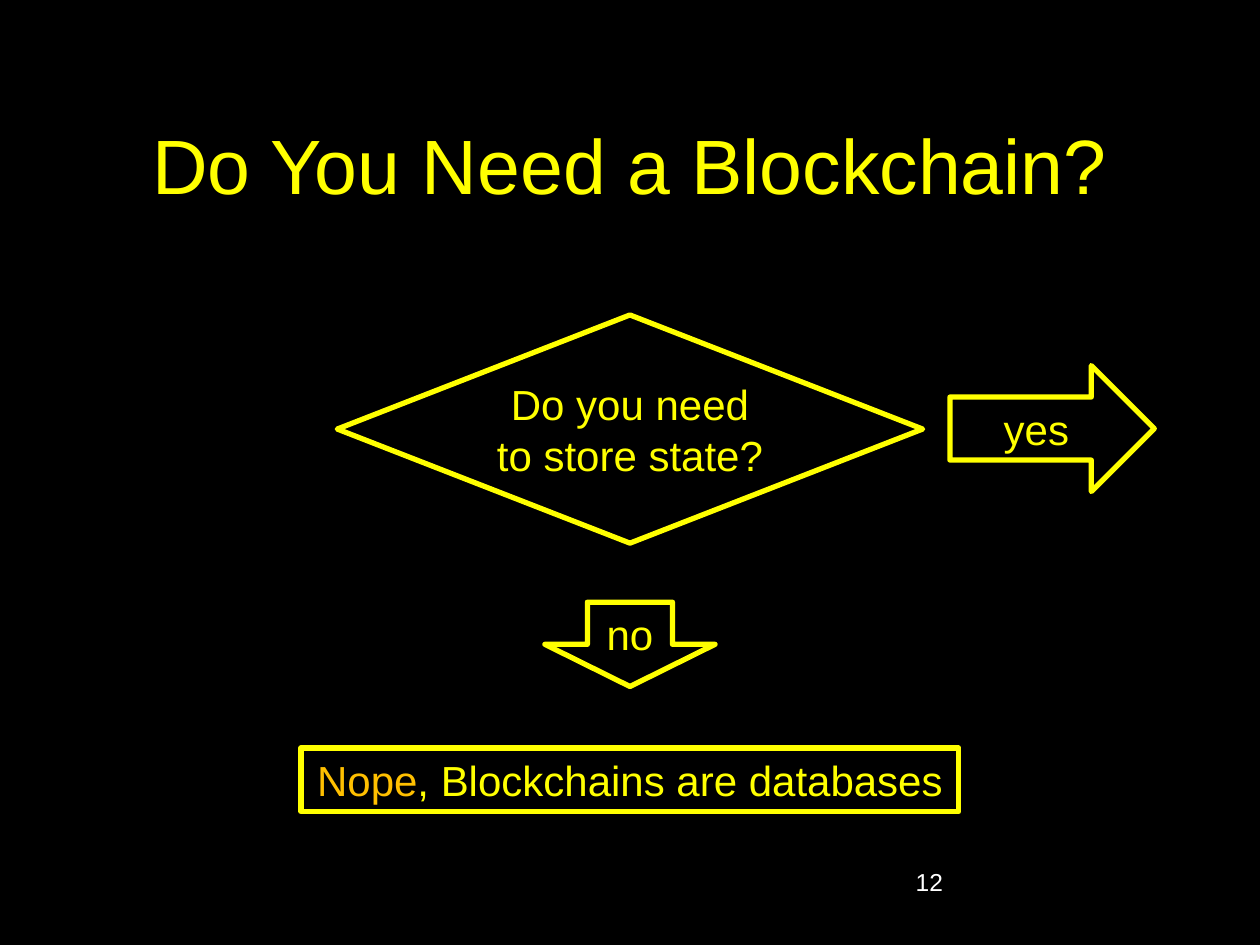
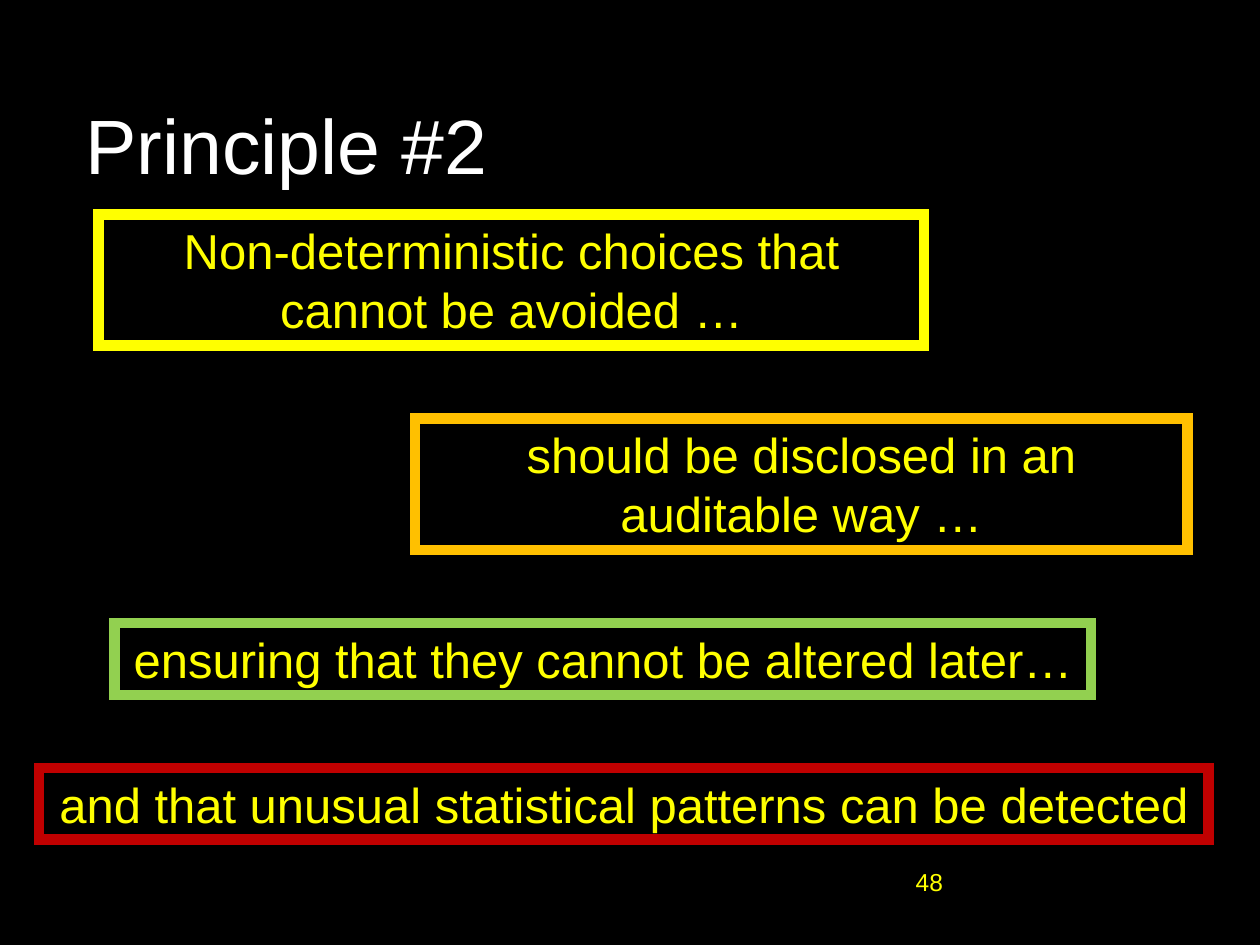
import pptx
import pptx.dml.color
import pptx.enum.shapes
import pptx.enum.text
import pptx.oxml.ns
import pptx.util
from lxml import etree

Cm, Pt = pptx.util.Cm, pptx.util.Pt
RGBColor = pptx.dml.color.RGBColor
MSO_SHAPE = pptx.enum.shapes.MSO_SHAPE
PP_ALIGN = pptx.enum.text.PP_ALIGN
MSO_ANCHOR = pptx.enum.text.MSO_ANCHOR
MSO_AUTO_SIZE = pptx.enum.text.MSO_AUTO_SIZE

BLACK = RGBColor(0x00, 0x00, 0x00)
WHITE = RGBColor(0xFF, 0xFF, 0xFF)
YELLOW = RGBColor(0xFF, 0xFF, 0x00)
ORANGE = RGBColor(0xFF, 0xC0, 0x00)
GREEN = RGBColor(0x92, 0xD0, 0x50)
RED = RGBColor(0xC0, 0x00, 0x00)

SLIDE_W, SLIDE_H = 25.4, 19.05
CENTER_X = SLIDE_W / 2


class Deck:
    """Holds the shared style and the slide being built; lengths are in cm."""

    font = "Arial"
    title_height = 3.18

    def __init__(self):
        self.prs = pptx.Presentation()
        self.prs.slide_width, self.prs.slide_height = Cm(SLIDE_W), Cm(SLIDE_H)
        fill = self.prs.slide_master.background.fill
        fill.solid()
        fill.fore_color.rgb = BLACK
        self.s = None

    def add_text(self, tf, runs, size, align=PP_ALIGN.CENTER, **frame):
        """Fill a text frame with one paragraph of (text, colour) runs."""
        for name, value in frame.items():
            setattr(tf, name, value)
        p = tf.paragraphs[0]
        p.alignment = align
        for text, color in runs:
            r = p.add_run()
            r.text = text
            for name, value in {"name": self.font, "size": Pt(size)}.items():
                setattr(r.font, name, value)
            r.font.color.rgb = color

    def slide(self, title, color, left, top, width):
        """Start a title-only slide."""
        self.s = self.prs.slides.add_slide(self.prs.slide_layouts[5])
        sp = self.s.shapes.title
        place = {"left": left, "top": top, "width": width,
                 "height": self.title_height}
        for name, value in place.items():
            setattr(sp, name, Cm(value))
        self.add_text(sp.text_frame, [(title, color)], 44,
                      vertical_anchor=MSO_ANCHOR.MIDDLE)

    def number(self, text, color):
        """Put the page number at the foot."""
        sp = self.s.shapes.add_textbox(Cm(18.21), Cm(17.35), Cm(5.28), Cm(1.27))
        self.add_text(sp.text_frame, [(text, color)], 14, PP_ALIGN.LEFT,
                      word_wrap=True)

    def box(self, kind, place, runs, size, line, weight, join="miter",
            anchor=MSO_ANCHOR.MIDDLE, wrap=True):
        """Add an outlined black shape with centred text."""
        sp = self.s.shapes.add_shape(kind, *map(Cm, place))
        sp.shadow.inherit = False
        sp.fill.solid()
        sp.fill.fore_color.rgb = BLACK
        sp.line.color.rgb = line
        sp.line.width = Pt(weight)
        ln = sp.line._get_or_add_ln()
        etree.SubElement(ln, pptx.oxml.ns.qn("a:" + join))
        self.add_text(sp.text_frame, runs, size, vertical_anchor=anchor,
                      word_wrap=wrap, auto_size=MSO_AUTO_SIZE.SHAPE_TO_FIT_TEXT)

    def step(self, kind, center_x, top, width, height, runs, wrap=True):
        """Add a flow chart step centred on center_x."""
        self.box(kind, (center_x - width / 2, top, width, height), runs, 24,
                 YELLOW, 3, join="round", wrap=wrap)

    def statement(self, place, text, line, wrap):
        """Add a heavily framed statement."""
        self.box(MSO_SHAPE.RECTANGLE, place, [(text, YELLOW)], 28, line, 6,
                 anchor=MSO_ANCHOR.TOP, wrap=wrap)


def flow_chart(deck):
    deck.slide("Do You Need a Blockchain?", YELLOW, 1.9, 1.7, 21.6)
    deck.number("12", WHITE)

    # Question, its two answers and the outcome
    deck.step(MSO_SHAPE.FLOWCHART_DECISION, CENTER_X, 6.35, 11.8, 4.6,
              [("Do you need to store state?", YELLOW)])
    deck.step(MSO_SHAPE.DOWN_ARROW, CENTER_X, 12.14, 3.43, 1.7,
              [("no", YELLOW)])
    deck.step(MSO_SHAPE.RIGHT_ARROW, 21.21, 7.37, 4.12, 2.54,
              [("yes", YELLOW)])
    deck.step(MSO_SHAPE.FLOWCHART_PROCESS, CENTER_X, 15.08, 13.26, 1.28,
              [("Nope", ORANGE), (", Blockchains are databases", YELLOW)],
              wrap=False)


def principle(deck):
    deck.slide("Principle #2", WHITE, 0.56, 1.3, 10.44)
    deck.number("48", YELLOW)

    # Statements stacked with equal gaps: text, frame, left, width, lines
    statements = [
        ("Non-deterministic choices that cannot be avoided …",
         YELLOW, 1.99, 16.64, 2),
        ("should be disclosed in an auditable way …",
         ORANGE, 8.37, 15.57, 2),
        ("ensuring that they cannot be altered later…",
         GREEN, 2.31, 19.69, 1),
        ("and that unusual statistical patterns can be detected",
         RED, 0.79, 23.57, 1),
    ]
    heights = {1: 1.45, 2: 2.65}
    gap = 1.47
    top = 4.32
    for text, line, left, width, lines in statements:
        height = heights[lines]
        deck.statement((left, top, width, height), text, line, lines > 1)
        top += height + gap


def main():
    deck = Deck()
    flow_chart(deck)
    principle(deck)
    deck.prs.save("out.pptx")


if __name__ == "__main__":
    main()
